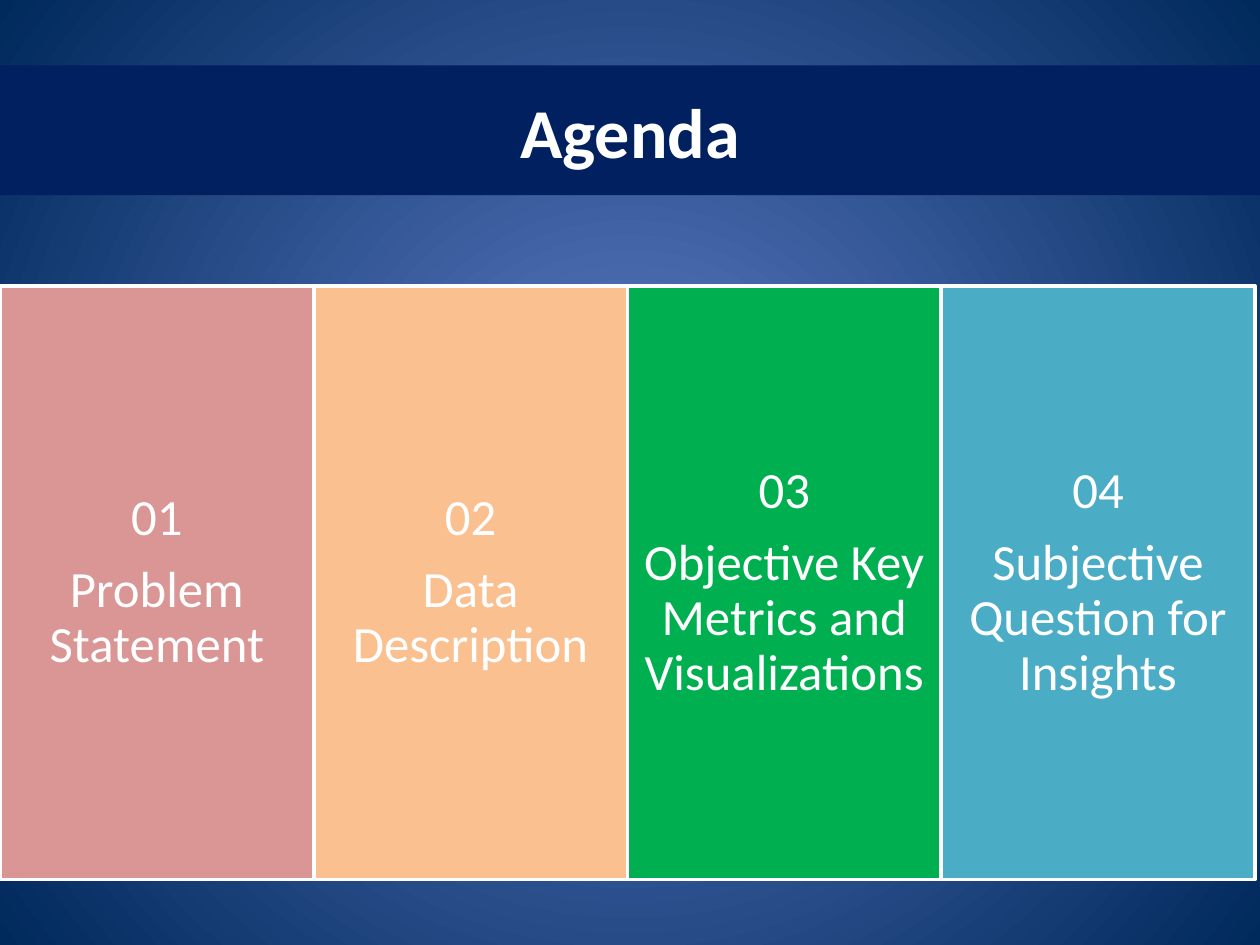
from lxml import etree
from pptx import Presentation
from pptx.dml.color import RGBColor
from pptx.enum.shapes import MSO_SHAPE
from pptx.enum.text import MSO_ANCHOR, PP_ALIGN
from pptx.oxml.ns import qn
from pptx.util import Inches, Pt

RECT = MSO_SHAPE.RECTANGLE
MIDDLE = MSO_ANCHOR.MIDDLE
CENTER = PP_ALIGN.CENTER
WHITE = "FFFFFF"


def color(code):
    return RGBColor.from_string(code)


def add_box(left, top, width, height, fill, lines, size):
    box = slide.shapes.add_shape(
        RECT, Inches(left), Inches(top), Inches(width), Inches(height))
    box.shadow.inherit = False
    box.fill.solid()
    box.fill.fore_color.rgb = color(fill)
    frame = box.text_frame
    frame.word_wrap = True
    frame.vertical_anchor = MIDDLE
    frame.text = "\n".join(lines)
    for para in frame.paragraphs:
        para.alignment = CENTER
        para.font.name = "Calibri"
        para.font.size = Pt(size)
        para.font.color.rgb = color(WHITE)
    return box


deck = Presentation()
deck.slide_width = Inches(10)
deck.slide_height = Inches(7.5)
slide = deck.slides.add_slide(deck.slide_layouts[6])

back = slide.background.fill
back.gradient()
for stop, code in zip(back.gradient_stops, ["5E7CC5", "00295C"]):
    stop.color.rgb = color(code)
grad = slide.element.find(".//" + qn("a:gradFill"))
grad.remove(grad.find(qn("a:lin")))
round_fill = etree.SubElement(grad, qn("a:path"), path="circle")
etree.SubElement(round_fill, qn("a:fillToRect"),
                 l="50000", t="50000", r="50000", b="50000")

topics = [
    ("Problem Statement", "D99694"),
    ("Data Description", "FAC090"),
    ("Objective Key Metrics and Visualizations", "00B050"),
    ("Subjective Question for Insights", "4BACC6"),
]
width = 2.49
for index, (topic, fill) in enumerate(topics):
    lines = [f"{index + 1:02}", topic]
    card = add_box(index * width, 2.27, width, 4.71, fill, lines, 29)
    card.line.color.rgb = color(WHITE)
    card.line.width = Pt(2)
    frame = card.text_frame
    frame.margin_left = frame.margin_right = Inches(0.12)
    frame.margin_top = frame.margin_bottom = Inches(0.12)
    for para in frame.paragraphs:
        para.line_spacing = 0.9
    frame.paragraphs[0].space_after = Pt(10)

title = add_box(0, 0.52, 10, 1.03, "002060", ["Agenda"], 40)
title.line.fill.background()
title.text_frame.paragraphs[0].font.bold = True

deck.save("out.pptx")
